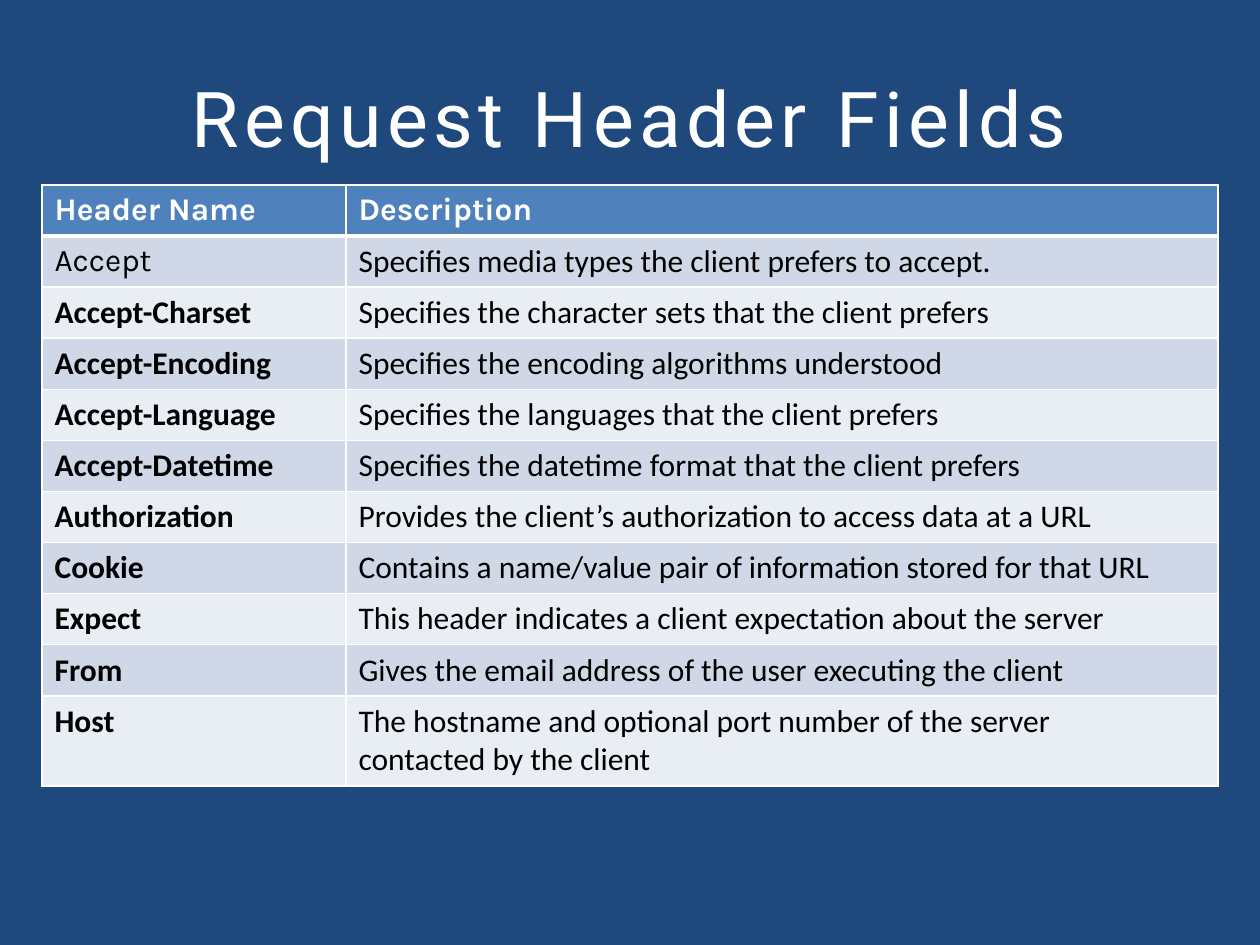
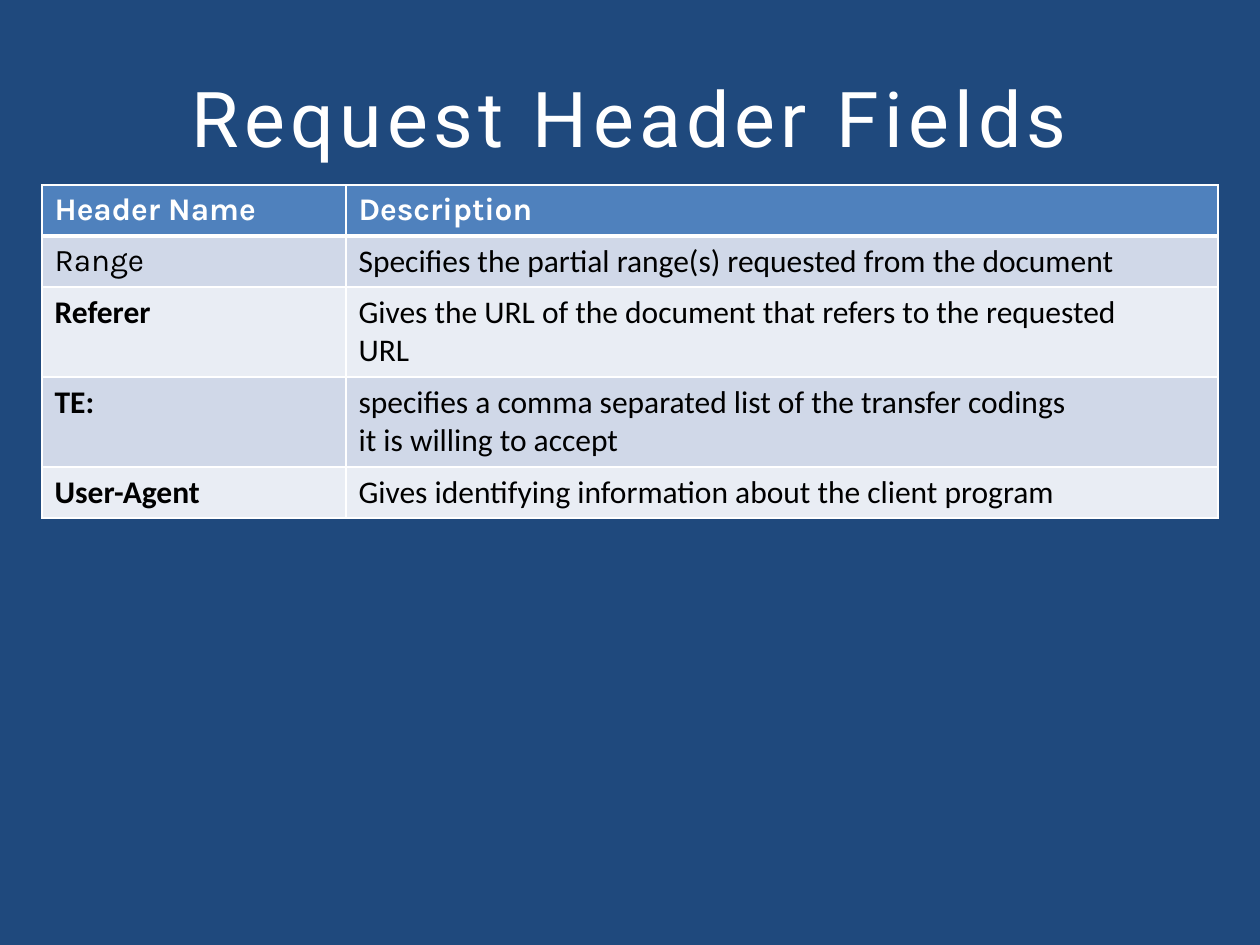
from dataclasses import dataclass

from lxml import etree
from pptx import Presentation
from pptx.dml.color import RGBColor
from pptx.enum.text import MSO_ANCHOR, PP_ALIGN
from pptx.oxml.ns import qn
from pptx.util import Pt

MIDDLE = MSO_ANCHOR.MIDDLE
CENTER = PP_ALIGN.CENTER


@dataclass(frozen=True)
class Theme:
    back: str = "1F497D"
    head: str = "4F81BD"
    odd: str = "D0D8E8"
    even: str = "E9EDF4"
    white: str = "FFFFFF"
    black: str = "000000"
    title_font: str = "Roboto"
    head_font: str = "Karla"
    body_font: str = "Calibri"
    title_size: int = 44
    cell_size: int = 18


THEME = Theme()
SCALE = 914400 / 126
TITLE = "Request Header Fields"
HEAD = ("Header Name", "Description")
COLS = (304, 872)
ROW, LINE = 51, 39

PAGES = [
    [
        ("Accept", "Specifies media types the client prefers to accept."),
        ("Accept-Charset", "Specifies the character sets that the client prefers"),
        ("Accept-Encoding", "Specifies the encoding algorithms understood"),
        ("Accept-Language", "Specifies the languages that the client prefers"),
        ("Accept-Datetime", "Specifies the datetime format that the client prefers"),
        ("Authorization", "Provides the client’s authorization to access data at a URL"),
        ("Cookie", "Contains a name/value pair of information stored for that URL"),
        ("Expect", "This header indicates a client expectation about the server"),
        ("From", "Gives the email address of the user executing the client"),
        ("Host", "The hostname and optional port number of the server\n"
                 "contacted by the client"),
    ],
    [
        ("Range", "Specifies the partial range(s) requested from the document"),
        ("Referer", "Gives the URL of the document that refers to the requested\nURL"),
        ("TE:", "specifies a comma separated list of the transfer codings\n"
                "it is willing to accept"),
        ("User-Agent", "Gives identifying information about the client program"),
    ],
]


def px(*sizes):
    return [round(size * SCALE) for size in sizes]


def style(frame, face, size, color, bold=False):
    for para in frame.paragraphs:
        for run in para.runs:
            run.font.name = face
            run.font.size = Pt(size)
            run.font.bold = bold
            run.font.color.rgb = RGBColor.from_string(color)


deck = Presentation()
deck.slide_width, deck.slide_height = px(1260, 945)

for page in PAGES:
    slide = deck.slides.add_slide(deck.slide_layouts[6])
    slide.background.fill.solid()
    slide.background.fill.fore_color.rgb = RGBColor.from_string(THEME.back)

    rows = [HEAD] + page
    tall = [ROW + LINE * text.count("\n") for name, text in rows]
    grid = slide.shapes.add_table(
        len(rows), len(COLS), *px(42, 185, sum(COLS), sum(tall))).table
    for col, width in zip(grid.columns, px(*COLS)):
        col.width = width
    for row, height in zip(grid.rows, px(*tall)):
        row.height = height

    for i, texts in enumerate(rows):
        for j, text in enumerate(texts):
            cell = grid.cell(i, j)
            cell.text = text
            # The first field name keeps the header font, without bold.
            face = THEME.head_font if i == 0 or (i, j) == (1, 0) else THEME.body_font
            color = THEME.black if i else THEME.white
            bold = i == 0 or (i > 1 and j == 0)
            style(cell.text_frame, face, THEME.cell_size, color, bold)

            shade = (THEME.odd if i % 2 else THEME.even) if i else THEME.head
            cell.fill.solid()
            cell.fill.fore_color.rgb = RGBColor.from_string(shade)

            # Borders come before the fill; a thick rule parts head from body.
            props = cell._tc.get_or_add_tcPr()
            for k, side in enumerate("LRTB"):
                thick = (i, side) in ((0, "B"), (1, "T"))
                edge = etree.Element(qn("a:ln" + side), w=str(Pt(3 if thick else 1)))
                paint = etree.SubElement(edge, qn("a:solidFill"))
                etree.SubElement(paint, qn("a:srgbClr"), val=THEME.white)
                props.insert(k, edge)

    frame = slide.shapes.add_textbox(*px(63, 38, 1134, 157)).text_frame
    frame.word_wrap = True
    frame.vertical_anchor = MIDDLE
    frame.text = TITLE
    para = frame.paragraphs[0]
    para.alignment = CENTER
    style(frame, THEME.title_font, THEME.title_size, THEME.white)
    para.runs[0]._r.get_or_add_rPr().set("spc", "300")

deck.save("out.pptx")
